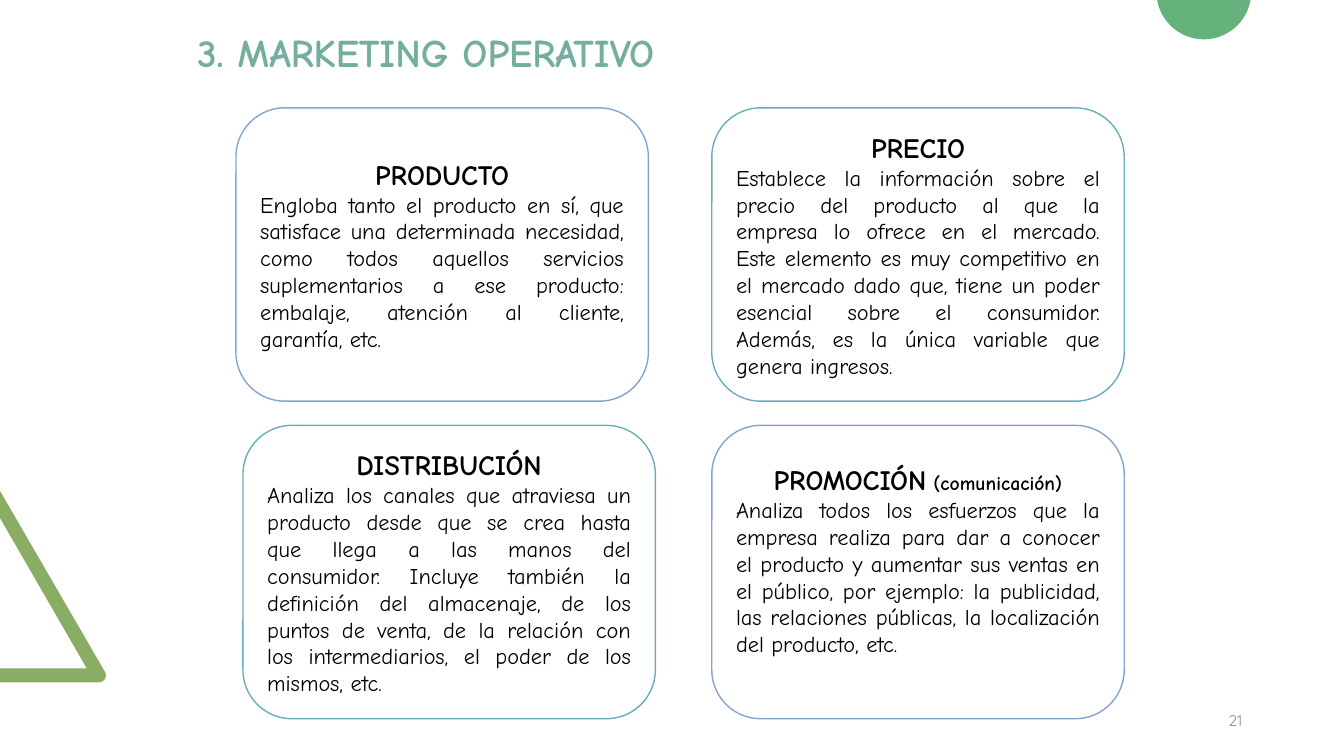
import math
from pptx import Presentation, util as u
from pptx.dml.color import RGBColor
from pptx.enum import shapes, text

W, H = 13.33, 7.5
COMIC = "Comic Neue"
BLUE, TEAL = "84A4CF", "69AEBA"
CARD_W, CARD_H = 4.09, 2.91
LEFT, TOP, COL_STEP, ROW_STEP = 2.34, 1.07, 4.72, 3.15
CENTER, JUSTIFY, RIGHT = (text.PP_ALIGN.CENTER, text.PP_ALIGN.JUSTIFY,
                          text.PP_ALIGN.RIGHT)

# column, row, shift right, extra bottom inset, outline, heading, suffix, body
CARDS = [
    (0, 0, 0, 0, BLUE, "PRODUCTO", "",
     "Engloba tanto el producto en sí, que satisface una determinada necesidad, "
     "como todos aquellos servicios suplementarios a ese producto: embalaje, "
     "atención al cliente, garantía, etc."),
    (1, 0, 0, 0, TEAL, "PRECIO", "",
     "Establece la información sobre el precio del producto al que la empresa lo "
     "ofrece en el mercado. Este elemento es muy competitivo en el mercado dado "
     "que, tiene un poder esencial sobre el consumidor. Además, es la única "
     "variable que genera ingresos."),
    (0, 1, 0.07, 0, TEAL, "DISTRIBUCIÓN", "",
     "Analiza los canales que atraviesa un producto desde que se crea hasta que "
     "llega a las manos del consumidor. Incluye también la definición del "
     "almacenaje, de los puntos de venta, de la relación con los intermediarios, "
     "el poder de los mismos, etc."),
    (1, 1, 0, 0.24, BLUE, "PROMOCIÓN", " (comunicación)",
     "Analiza todos los esfuerzos que la empresa realiza para dar a conocer el "
     "producto y aumentar sus ventas en el público, por ejemplo: la publicidad, "
     "las relaciones públicas, la localización del producto, etc."),
]


def rgb(code):
    """Return the colour for a hex string."""
    return RGBColor.from_string(code)


def add_run(p, words, color="000000", **fmt):
    """Append a formatted run to a paragraph."""
    r = p.add_run()
    r.text = words
    r.font.color.rgb = rgb(color)
    for key, value in fmt.items():
        setattr(r.font, key, value)


def arc(cx, cy, radius, start, end, steps=40):
    """Return points along an arc, with angles in degrees clockwise from east."""
    angles = [math.radians(start + (end - start) * i / steps)
              for i in range(steps + 1)]
    return [(cx + radius * math.cos(a), cy + radius * math.sin(a))
            for a in angles]


def add_outline(s, points, color):
    """Draw a closed filled outline through points given in inches."""
    (x, y), *rest = [(u.Inches(px), u.Inches(py)) for px, py in points]
    builder = s.shapes.build_freeform(x, y)
    builder.add_line_segments(rest, close=True)
    sp = builder.convert_to_shape()
    sp.shadow.inherit = False
    sp.fill.solid()
    sp.fill.fore_color.rgb = rgb(color)
    sp.line.fill.background()


def add_decor(s):
    """Draw the triangle at the left edge and the disc at the top edge."""
    triangle = [(0, 6.77), (0, 6.63), (0.86, 6.63), (0, 5.14), (0, 4.87)]
    add_outline(s, triangle + arc(0.98, 6.7, 0.07, -30, 90), "89AD62")
    add_outline(s, arc(11.94, -0.08, 0.47, 9.8, 170.2), "65B27D")


def add_card(s, box, outline, heading, suffix, body, extra):
    """Draw a rounded card with a heading and a justified paragraph."""
    sp = s.shapes.add_shape(shapes.MSO_SHAPE.ROUNDED_RECTANGLE,
                            *map(u.Inches, box))
    sp.shadow.inherit = False
    sp.fill.solid()
    sp.fill.fore_color.rgb = rgb("FFFFFF")
    sp.line.color.rgb = rgb(outline)
    sp.line.width = u.Pt(1)
    tf = sp.text_frame
    tf.word_wrap = True
    tf.vertical_anchor = text.MSO_ANCHOR.MIDDLE
    tf.margin_bottom = u.Inches(0.05 + extra)
    p = tf.paragraphs[0]
    p.alignment = CENTER
    add_run(p, heading, name=COMIC, size=u.Pt(20), bold=True)
    if suffix:
        add_run(p, suffix, name=COMIC, size=u.Pt(14), bold=True)
    p = tf.add_paragraph()
    p.alignment = JUSTIFY
    add_run(p, body, name=COMIC, size=u.Pt(16), bold=False)


def add_cards(s):
    """Place the cards on a grid of two columns and two rows."""
    for col, row, shift, extra, outline, heading, suffix, body in CARDS:
        box = (LEFT + col * COL_STEP + shift, TOP + row * ROW_STEP,
               CARD_W, CARD_H)
        add_card(s, box, outline, heading, suffix, body, extra)


def add_label(s, box, words, color, anchor, para, **fmt):
    """Add a one-line text box."""
    tf = s.shapes.add_textbox(*map(u.Inches, box)).text_frame
    tf.word_wrap = True
    tf.vertical_anchor = anchor
    p = tf.paragraphs[0]
    for key, value in para.items():
        setattr(p, key, value)
    add_run(p, words, color, **fmt)


def main():
    """Build and save the slide."""
    prs = Presentation()
    prs.slide_width, prs.slide_height = u.Inches(W), u.Inches(H)
    s = prs.slides.add_slide(prs.slide_layouts[6])
    add_decor(s)
    add_cards(s)
    add_label(s, (9.42, 6.95, 3, 0.4), "21", "8C8C8C", text.MSO_ANCHOR.MIDDLE,
              {"alignment": RIGHT}, name="Quicksand", size=u.Pt(11))
    add_label(s, (1.86, 0.3, 9.8, 0.5), "3. MARKETING OPERATIVO", "73AE9E",
              text.MSO_ANCHOR.TOP, {"line_spacing": 0.85},
              name=COMIC, size=u.Pt(28), bold=True)
    prs.save("out.pptx")


if __name__ == "__main__":
    main()
